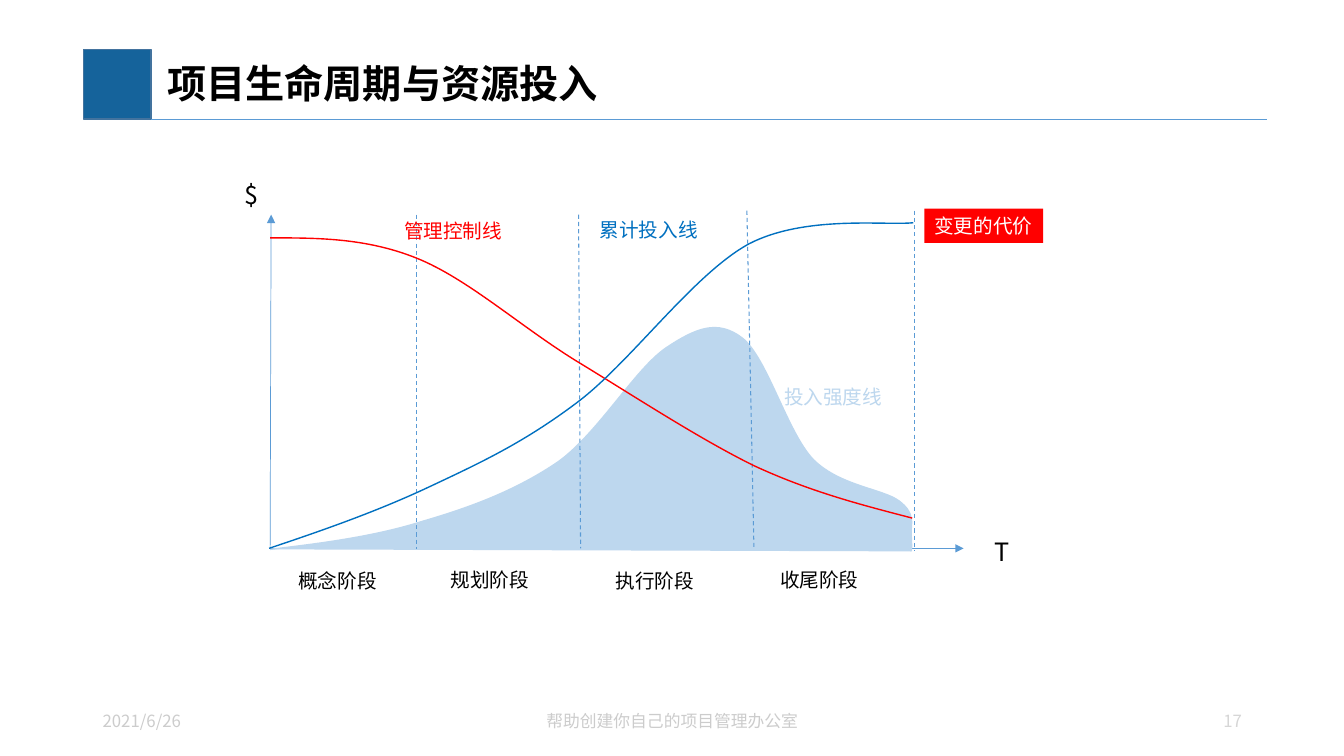
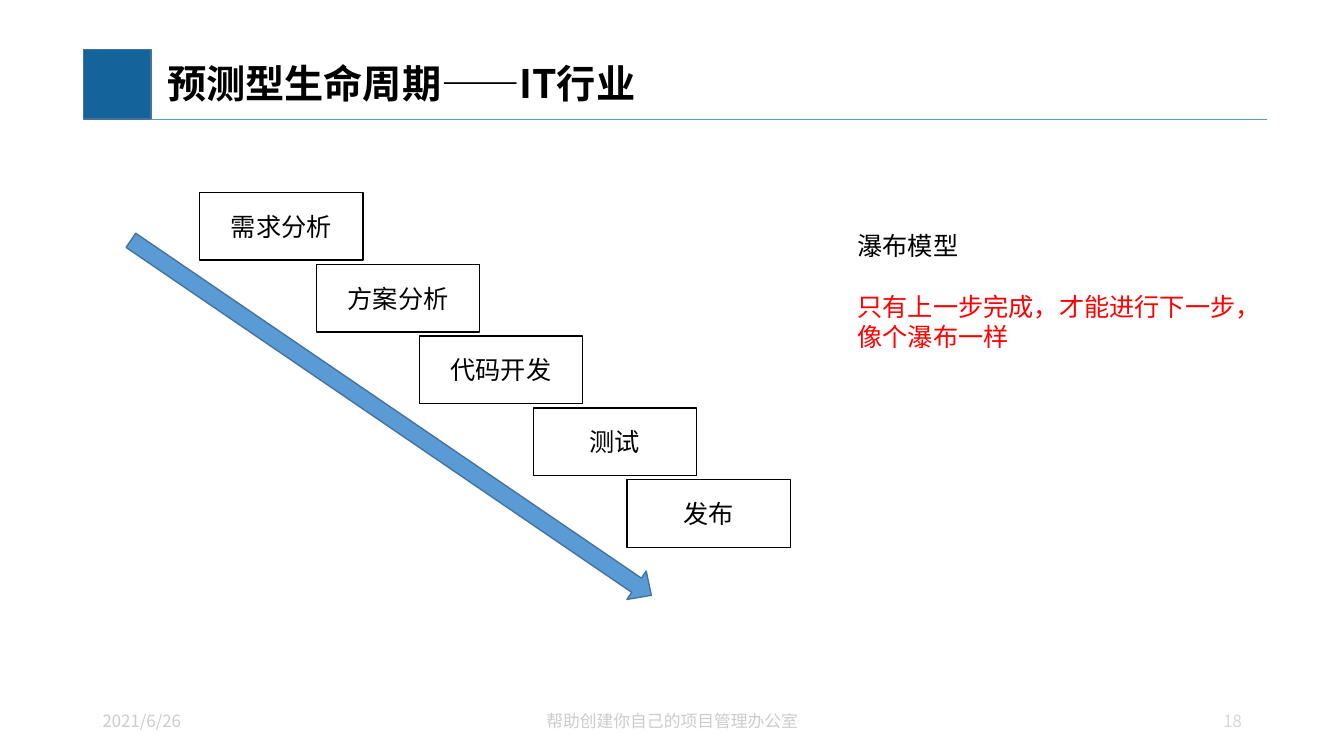
from lxml.etree import SubElement
from pptx import Presentation
from pptx.dml.color import RGBColor
from pptx.enum.dml import MSO_LINE
from pptx.enum.shapes import MSO_CONNECTOR, MSO_SHAPE
from pptx.enum.text import MSO_ANCHOR, MSO_AUTO_SIZE, PP_ALIGN
from pptx.oxml.ns import qn
from pptx.util import Inches, Pt

FONT = "Noto Sans CJK SC"
BLACK, WHITE, RED = "000000", "FFFFFF", "FF0000"
NAVY, EDGE, AXIS = "15639B", "43739E", "5B9BD5"
CURVE_BLUE, PALE_BLUE = "0070C0", "BDD7EE"
FOOTER_GREY, NUMBER_GREY = "CCCCCC", "D6D6D6"
COLUMNS, ROWS = 40 / 3, 7.5
CELL = Inches(1)
MARGIN_LEFT, MARGIN_RIGHT, RULE_ROW = 1.5, 12.57, 1.18

INTENSITY = [
    (2.68, 5.45), (3.2, 5.39), (3.73, 5.32), (4.2, 5.17), (4.68, 5.03), (5.13, 4.86),
    (5.54, 4.58), (5.94, 4.29), (6.3, 3.66), (6.61, 3.45), (6.91, 3.25), (7.12, 3.17),
    (7.36, 3.35), (7.61, 3.54), (7.81, 4.29), (8.07, 4.56), (8.33, 4.82), (8.76, 4.85),
    (8.92, 4.97), (9.08, 5.09), (9.04, 5.19), (9.04, 5.27), (9.04, 5.35), (9.05, 5.44),
    (9.04, 5.47),
]
CONTROL = [
    (2.68, 2.36), (3.15, 2.36), (3.63, 2.36), (4.13, 2.56), (4.63, 2.76), (5.14, 3.22),
    (5.7, 3.57), (6.26, 3.91), (6.93, 4.35), (7.48, 4.62), (8.04, 4.88), (8.55, 5.01),
    (9.05, 5.14),
]
CUMULATIVE = [
    (2.67, 5.44), (3.21, 5.26), (3.75, 5.07), (4.26, 4.83), (4.77, 4.59), (5.2, 4.39),
    (5.73, 3.99), (6.26, 3.59), (6.88, 2.72), (7.43, 2.42), (7.99, 2.13), (8.79, 2.24),
    (9.06, 2.21),
]


def colour(value):
    """Turn a hex string into a colour."""
    return RGBColor.from_string(value)


def grid(*cells):
    """Turn columns and rows of the grid into lengths."""
    return [round(cell * CELL) for cell in cells]


def write(frame, text, size=14, color=BLACK, bold=False, align=PP_ALIGN.LEFT,
          anchor=MSO_ANCHOR.MIDDLE, spacing=None, before=0, wrap=True, new=False):
    """Write one formatted paragraph into a text frame."""
    frame.word_wrap = wrap
    frame.auto_size = MSO_AUTO_SIZE.NONE
    frame.vertical_anchor = anchor
    para = frame.add_paragraph() if new else frame.paragraphs[0]
    para.alignment = align
    para.space_before = Pt(before)
    if spacing:
        para.line_spacing = spacing
    span = para.add_run()
    span.text = text
    span.font.size = Pt(size)
    span.font.bold = bold
    span.font.color.rgb = colour(color)
    span.font.name = FONT
    SubElement(span.font._element, qn("a:ea"), typeface=FONT)


def add_label(page, text, left, top, width=1.18, height=0.34, **style):
    """Add a text box and return its frame."""
    frame = page.shapes.add_textbox(*grid(left, top, width, height)).text_frame
    write(frame, text, **style)
    return frame


def paint(shape, fill=None, line=None):
    """Set the fill and the outline of a shape."""
    shape.shadow.inherit = False
    if fill:
        shape.fill.solid()
        shape.fill.fore_color.rgb = colour(fill)
    else:
        shape.fill.background()
    if line:
        shape.line.color.rgb = colour(line)
        shape.line.width = Pt(1)
    else:
        shape.line.fill.background()


def add_block(page, left, top, width, height, kind=MSO_SHAPE.RECTANGLE, fill=WHITE, line=None):
    """Add a painted preset shape."""
    shape = page.shapes.add_shape(kind, *grid(left, top, width, height))
    paint(shape, fill, line)
    return shape


def add_line(page, start, end, width=0.5, dashed=False, arrow=False):
    """Add a straight line, dashed or with an arrowhead on request."""
    connector = page.shapes.add_connector(MSO_CONNECTOR.STRAIGHT, *grid(*start, *end))
    connector.line.color.rgb = colour(AXIS)
    connector.line.width = Pt(width)
    if dashed:
        connector.line.dash_style = MSO_LINE.DASH
    properties = connector._element.spPr
    if arrow:
        SubElement(properties.find(qn("a:ln")), qn("a:tailEnd"), type="triangle")
    SubElement(properties, qn("a:effectLst"))


def add_curve(page, knots, corner, opposite, line, fill=None):
    """Add a chain of cubic curves inside the box between two corners."""
    builder = page.shapes.build_freeform(*grid(*corner))
    builder.add_line_segments([grid(*opposite)], close=False)
    shape = builder.convert_to_shape()
    outline = next(shape._element.iter(qn("a:path")))
    for segment in list(outline):
        outline.remove(segment)
    for index, (column, row) in enumerate(knots):
        if index == 0:
            segment = SubElement(outline, qn("a:moveTo"))
        elif index % 3 == 1:
            segment = SubElement(outline, qn("a:cubicBezTo"))
        x, y = grid(column - corner[0], row - corner[1])
        SubElement(segment, qn("a:pt"), x=str(x), y=str(y))
    paint(shape, fill, line)


def add_page(deck, title, number):
    """Add a slide with the shared title band and footer."""
    page = deck.slides.add_slide(deck.slide_layouts[5])
    add_block(page, 0.83, 0.49, 0.67, 0.69, fill=NAVY, line=EDGE)
    add_line(page, (MARGIN_LEFT, RULE_ROW), (MARGIN_RIGHT, RULE_ROW))
    box = page.shapes.title
    box.left, box.top, box.width, box.height = grid(
        MARGIN_LEFT, 0.5, MARGIN_RIGHT - MARGIN_LEFT, 0.7)
    box.text_frame.margin_left = Inches(0.16)
    write(box.text_frame, title, size=28, bold=True, spacing=0.9)
    add_label(page, "2021/6/26", 0.92, 6.95, 3, 0.4, size=12, color=FOOTER_GREY)
    add_label(page, "帮助创建你自己的项目管理办公室", 4.42, 6.95, 4.5, 0.4,
              size=12, color=FOOTER_GREY, align=PP_ALIGN.CENTER)
    add_label(page, str(number), 9.66, 6.94, 2.76, 0.42,
              size=12, color=NUMBER_GREY, align=PP_ALIGN.RIGHT)
    return page


def add_resource_page(deck):
    """Build the slide on resources over the project life cycle."""
    page = add_page(deck, "项目生命周期与资源投入", 17)
    add_line(page, (2.68, 5.44), (2.69, 2.13), arrow=True)
    add_line(page, (2.67, 5.44), (9.56, 5.44), arrow=True)
    add_curve(page, INTENSITY, (2.68, 3.25), (9.05, 5.47), PALE_BLUE, fill=PALE_BLUE)
    for start, end in (((4.13, 2.13), (4.13, 5.45)), ((5.74, 2.13), (5.76, 5.44)),
                       ((7.41, 2.09), (7.48, 5.45)), ((9.07, 2.09), (9.07, 5.47))):
        add_line(page, start, end, width=0.75, dashed=True)
    for text, left, top in (("$", 2.33, 1.73), ("T", 9.77, 5.27)):
        add_label(page, text, left, top, 0.34, 0.4, size=18, wrap=False)
    add_curve(page, CONTROL, (2.68, 2.36), (9.05, 5.14), RED)
    add_curve(page, CUMULATIVE, (2.67, 2.21), (9.06, 5.44), CURVE_BLUE)
    for text, left, top, color in (("管理控制线", 3.91, 2.12, RED),
                                   ("累计投入线", 5.85, 2.11, CURVE_BLUE),
                                   ("投入强度线", 7.68, 3.77, PALE_BLUE)):
        add_label(page, text, left, top, color=color, wrap=False)
    tag = add_block(page, 9.17, 2.07, 1.18, 0.34, fill=RED)
    write(tag.text_frame, "变更的代价", color=WHITE, wrap=False)
    for text, left, top in (("概念阶段", 2.86, 5.59), ("规划阶段", 4.37, 5.58),
                            ("执行阶段", 6.01, 5.59), ("收尾阶段", 7.64, 5.58)):
        add_label(page, text, left, top, width=0.99, wrap=False)


def add_waterfall_page(deck):
    """Build the slide on the waterfall model."""
    page = add_page(deck, "预测型生命周期——IT行业", 18)
    steps = (("需求分析", 1.98), ("方案分析", 3.14), ("代码开发", 4.16),
             ("测试", 5.29), ("发布", 6.22))
    first, last = 1.91, 4.76
    pitch = (last - first) / (len(steps) - 1)
    for row, (text, left) in enumerate(steps):
        box = add_block(page, left, first + pitch * row, 1.62, 0.67, line=BLACK)
        write(box.text_frame, text, size=18, align=PP_ALIGN.CENTER)
    arrow = add_block(page, 3.71, 1.02, 0.34, 6.25, kind=MSO_SHAPE.DOWN_ARROW,
                      fill=AXIS, line=EDGE)
    arrow.adjustments[0], arrow.adjustments[1] = 0.5, 0.52
    arrow.rotation = 304.3
    style = {"size": 18, "anchor": MSO_ANCHOR.TOP, "spacing": Pt(21.6), "wrap": False}
    frame = add_label(page, "瀑布模型", 8.41, 2.24, 4.24, 1.31, **style)
    for text, before in (("只有上一步完成，才能进行下一步，", 21.6), ("像个瀑布一样", 0)):
        write(frame, text, color=RED, before=before, new=True, **style)


def main():
    """Build and save the deck."""
    deck = Presentation()
    deck.slide_width, deck.slide_height = grid(COLUMNS, ROWS)
    add_resource_page(deck)
    add_waterfall_page(deck)
    deck.save("out.pptx")


if __name__ == "__main__":
    main()
